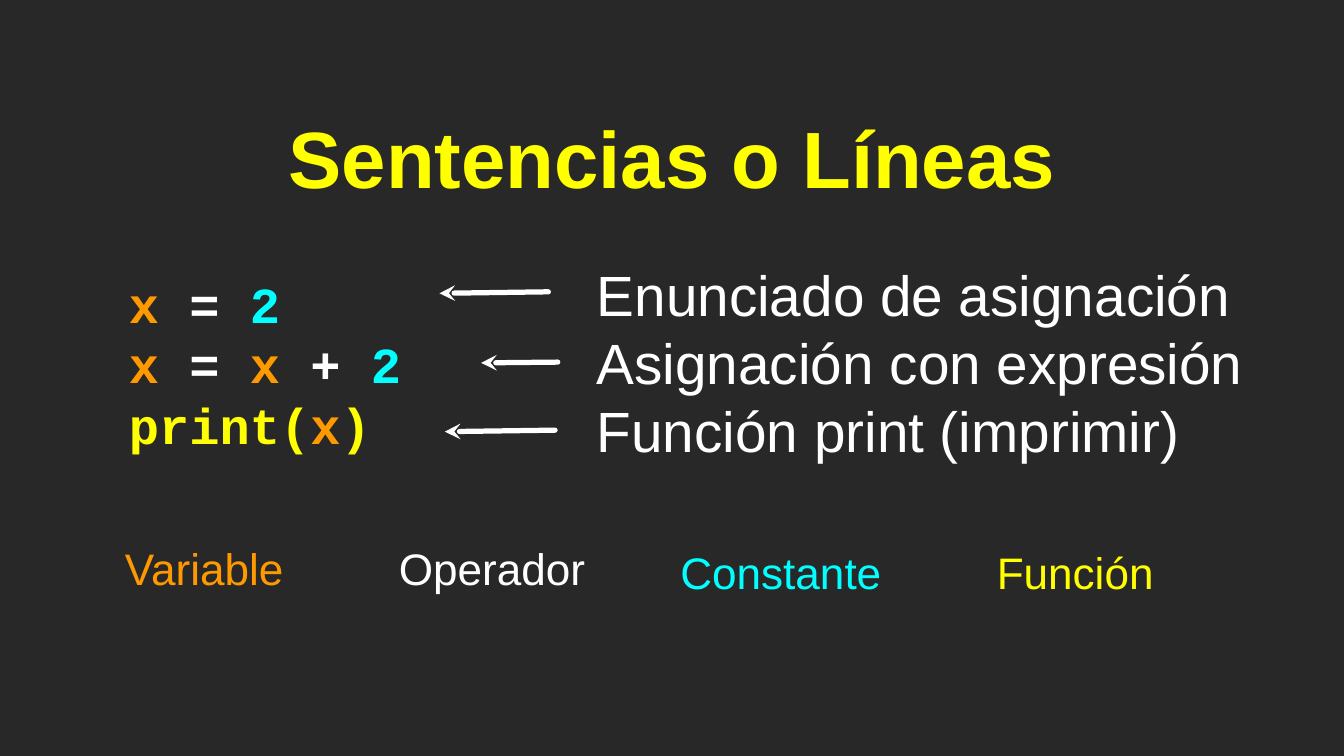
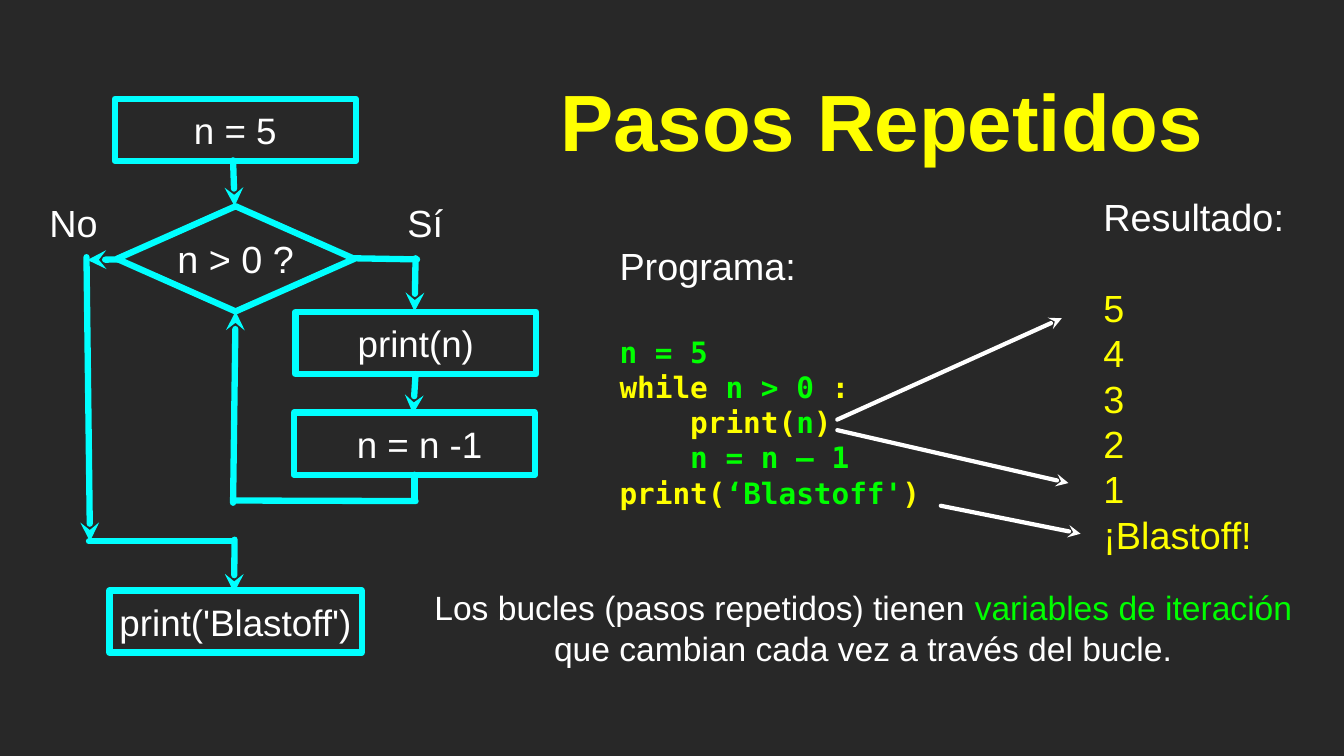
import dataclasses

import lxml.etree
import pptx
import pptx.dml.color
import pptx.enum.shapes
import pptx.enum.text
import pptx.oxml.ns
import pptx.util

WHITE, YELLOW, CYAN = "FFFFFF", "FFFF00", "00FFFF"
ORANGE, GREEN, CHARCOAL = "FF9900", "00FF00", "282828"
SHAPES = pptx.enum.shapes.MSO_SHAPE
ALIGN = pptx.enum.text.PP_ALIGN
TITLE_ONLY = 5
LINE_HEIGHT = 1.2


@dataclasses.dataclass
class Box:
    """A region in inches, whose areas are given in percent of its size."""
    left: float
    top: float
    width: float
    height: float

    def point(self, across, down):
        return (self.left + self.width * across / 100,
                self.top + self.height * down / 100)

    def area(self, across, down, width, height):
        return Box(*self.point(across, down),
                   self.width * width / 100, self.height * height / 100)

    def lengths(self):
        return [pptx.util.Inches(length) for length in dataclasses.astuple(self)]


@dataclasses.dataclass
class Style:
    size: int
    font: str = "Arial"
    bold: bool = False
    align: int = ALIGN.LEFT


SLIDE = Box(0, 0, 17.78, 10)
TITLE = Style(76, bold=True, align=ALIGN.CENTER)
LABEL = Style(36, align=ALIGN.CENTER)
NODE = Style(35, align=ALIGN.CENTER)


def colour(value):
    return pptx.dml.color.RGBColor.from_string(value)


def prepare_frame(shape, inset=0):
    frame = shape.text_frame
    frame.auto_size = pptx.enum.text.MSO_AUTO_SIZE.NONE
    frame.word_wrap = True
    frame.vertical_anchor = pptx.enum.text.MSO_ANCHOR.MIDDLE
    frame.margin_left = frame.margin_right = pptx.util.Inches(inset)
    frame.margin_top = frame.margin_bottom = pptx.util.Inches(inset)
    return frame


def write(frame, lines, style, gap=0):
    """Append lines, each a list of (text, colour) spans, after a gap in points."""
    for number, spans in enumerate(lines):
        para = frame.add_paragraph() if frame.text else frame.paragraphs[0]
        para.alignment = style.align
        para.line_spacing = pptx.util.Pt(style.size * LINE_HEIGHT)
        if gap and number == 0:
            para.space_before = pptx.util.Pt(gap)
        for text, value in spans:
            span = para.add_run()
            span.text = text
            span.font.name = style.font
            span.font.size = pptx.util.Pt(style.size)
            span.font.bold = style.bold
            span.font.color.rgb = colour(value)


def add_text(page, box, lines, style):
    frame = prepare_frame(page.shapes.add_textbox(*box.lengths()))
    write(frame, lines, style)
    return frame


def add_listing(page, box, heading, lines, style):
    """A white heading, a gap of one heading line, then the lines."""
    head = Style(36)
    frame = add_text(page, box, [[(heading, WHITE)]], head)
    write(frame, lines, style, gap=head.size * LINE_HEIGHT)


def add_node(page, box, preset, text, style):
    node = page.shapes.add_shape(preset, *box.lengths())
    node.shadow.inherit = False
    node.fill.background()
    node.line.color.rgb = colour(CYAN)
    node.line.width = pptx.util.Pt(6)
    frame = prepare_frame(node)
    write(frame, [[(text, WHITE)]], style)
    return frame


def add_line(page, box, start, end, value, width, arrow=True):
    """A round-capped line between two points of the box, with its arrow at the end."""
    ends = [pptx.util.Inches(length)
            for length in box.point(*start) + box.point(*end)]
    line = page.shapes.add_connector(
        pptx.enum.shapes.MSO_CONNECTOR.STRAIGHT, *ends)
    line.line.color.rgb = colour(value)
    line.line.width = pptx.util.Pt(width)
    name = pptx.oxml.ns.qn
    outline = line.line._get_or_add_ln()
    outline.set("cap", "rnd")
    lxml.etree.SubElement(outline, name("a:round"))
    if arrow:
        lxml.etree.SubElement(outline, name("a:tailEnd"), type="stealth")
    lxml.etree.SubElement(line._element.spPr, name("a:effectLst"))


def add_page(deck, title, title_box):
    page = deck.slides.add_slide(deck.slide_layouts[TITLE_ONLY])
    holder = page.shapes.title
    holder.left, holder.top, holder.width, holder.height = title_box.lengths()
    write(prepare_frame(holder, 0.04), [[(title, YELLOW)]], TITLE)
    return page


def add_statements(page, box):
    code = [
        [("x ", ORANGE), ("= ", WHITE), ("2", CYAN)],
        [("x ", ORANGE), ("= ", WHITE), ("x ", ORANGE), ("+ ", WHITE), ("2", CYAN)],
        [("print(", YELLOW), ("x", ORANGE), (")", YELLOW)],
    ]
    meanings = ["Enunciado de asignación", "Asignación con expresión",
                "Función print (imprimir)"]
    add_text(page, box.area(9.6, 26, 24.6, 44.2), code,
             Style(48, "Courier New", bold=True))
    add_text(page, box.area(44.4, 25.8, 54.6, 44.2),
             [[(meaning, WHITE)] for meaning in meanings], Style(54))
    for start, end in [((40.8, 38.6), (32.7, 38.8)),
                       ((41.5, 47.9), (35.8, 48)),
                       ((41.3, 56.9), (33.1, 57.1))]:
        add_line(page, box, start, end, WHITE, 5)


def add_legend(page, box):
    cell_width = 20
    for centre, top, text, value in [(15.2, 0, "Variable", ORANGE),
                                     (36.6, 0, "Operador", WHITE),
                                     (58.1, 6, "Constante", CYAN),
                                     (80, 6, "Función", YELLOW)]:
        cell = box.area(centre - cell_width / 2, top, cell_width, 94)
        add_text(page, cell, [[(text, value)]], Style(42, align=ALIGN.CENTER))


def add_flowchart(page, box):
    arrows = [
        ((39.2, 11.1), (39.5, 19.3)), ((39.2, 72.3), (39.7, 38.1)),
        ((75.8, 28.6), (75.6, 38.1)), ((75.8, 49.3), (75.3, 56.4)),
        ((16.5, 28.8), (10, 28.9)), ((9.8, 28.4), (10.5, 79.2)),
        ((39.5, 78.9), (39.4, 88.4)),
    ]
    plain_lines = [
        ((63.2, 28.6), (76.1, 28.8)), ((75.6, 67.3), (75.6, 71.8)),
        ((75.8, 72), (39.5, 71.9)), ((10.3, 79.2), (39.2, 79.2)),
    ]
    for start, end in arrows:
        add_line(page, box, start, end, CYAN, 6)
    for start, end in plain_lines:
        add_line(page, box, start, end, CYAN, 6, arrow=False)

    for left, top, width, text in [(15.5, 0.1, 48.3, "n = 5"),
                                   (51.7, 38.2, 48.3, "print(n)"),
                                   (51.4, 56.2, 48.3, "n = n -1"),
                                   (14.4, 88, 50.6, "print('Blastoff')")]:
        frame = add_node(page, box.area(left, top, width, 11.1),
                         SHAPES.RECTANGLE, text, NODE)
        if text == "n = n -1":
            frame.margin_left = pptx.util.Inches(0.14)
    add_node(page, box.area(15.9, 19.3, 47.6, 18.8), SHAPES.DIAMOND,
             "n > 0 ?", LABEL)
    for left, width, text in [(1.2, 12, "No"), (69.5, 16.5, "Sí")]:
        add_text(page, box.area(left, 17.6, width, 9.2), [[(text, WHITE)]], LABEL)


def add_program_and_result(page, box):
    code = [
        [("n = 5", GREEN)],
        [("while", YELLOW), (" n > 0", GREEN), (" :", YELLOW)],
        [("    print(", YELLOW), ("n", GREEN), (")", YELLOW)],
        [("    n = n – 1", GREEN)],
        [("print(", YELLOW), ("‘Blastoff'", GREEN), (")", YELLOW)],
    ]
    results = ["5", "4", "3", "2", "1", "¡Blastoff!"]
    add_listing(page, box.area(46.1, 28.6, 24, 42.4), "Programa:", code,
                Style(28, "DejaVu Sans Mono", bold=True))
    add_listing(page, box.area(82.1, 26.3, 14.8, 46.7), "Resultado:",
                [[(result, YELLOW)] for result in results], Style(36))
    for start, end in [((62.3, 55.5), (79, 42.1)),
                       ((62.3, 56.9), (79.5, 63.9)),
                       ((70, 66.9), (80.4, 70.6))]:
        add_line(page, box, start, end, WHITE, 4)


def main():
    deck = pptx.Presentation()
    deck.slide_width = pptx.util.Inches(SLIDE.width)
    deck.slide_height = pptx.util.Inches(SLIDE.height)
    background = deck.slide_master.background.fill
    background.solid()
    background.fore_color.rgb = colour(CHARCOAL)

    page = add_page(deck, "Sentencias o Líneas", SLIDE.area(5, 14, 90, 13.4))
    add_statements(page, SLIDE)
    add_legend(page, SLIDE.area(0, 71.2, 100, 8.4))

    page = add_page(deck, "Pasos Repetidos", SLIDE.area(36.2, 8.4, 58.8, 14.9))
    add_flowchart(page, SLIDE.area(2.8, 13, 37.1, 74))
    add_program_and_result(page, SLIDE)
    add_text(page, SLIDE.area(31.7, 76.5, 65.1, 13),
             [[("Los bucles (pasos repetidos) tienen ", WHITE),
               ("variables de iteración ", GREEN),
               ("que cambian cada vez a través del bucle.", WHITE)]],
             Style(32, align=ALIGN.CENTER))

    deck.save("out.pptx")


if __name__ == "__main__":
    main()
